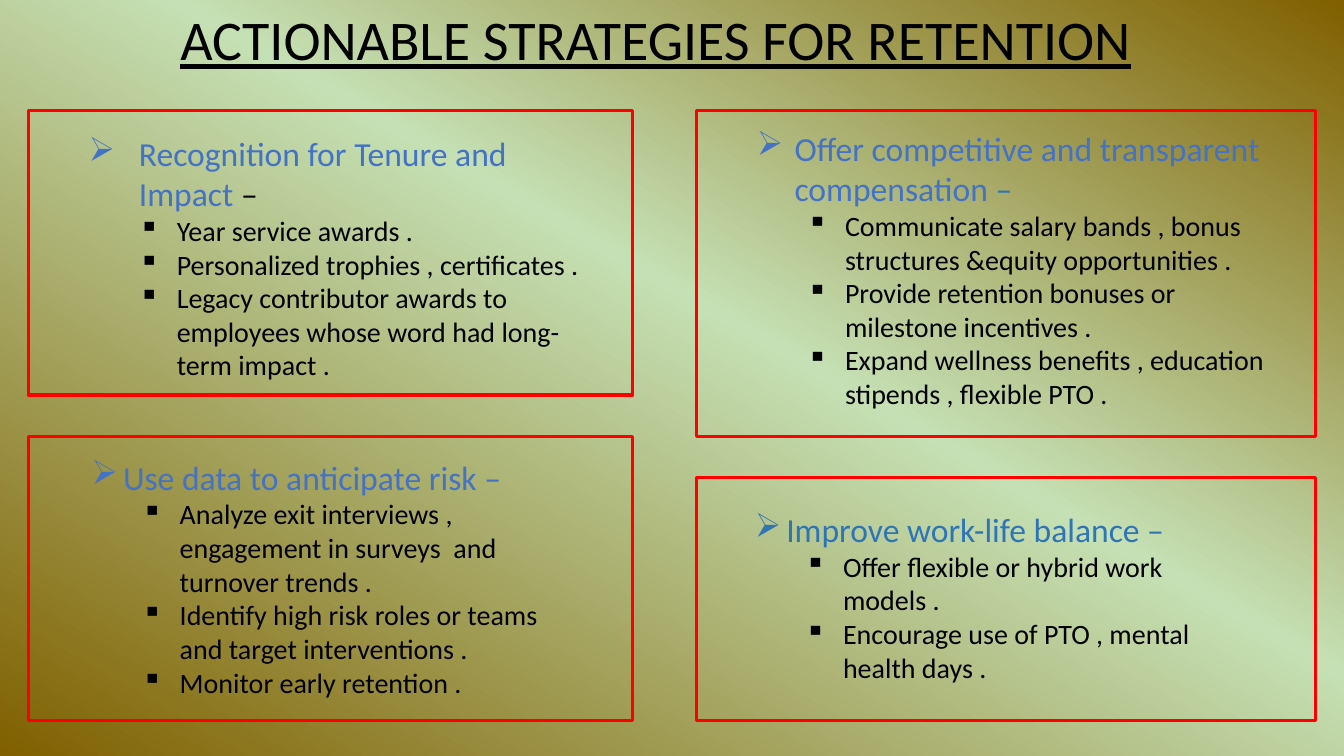
from copy import deepcopy

from lxml import etree
from pptx import Presentation
from pptx.dml.color import RGBColor
from pptx.enum.shapes import MSO_SHAPE
from pptx.enum.text import MSO_AUTO_SIZE
from pptx.oxml.ns import qn
from pptx.util import Pt

RECT = MSO_SHAPE.RECTANGLE
GROW = MSO_AUTO_SIZE.SHAPE_TO_FIT_TEXT
FONT = "Calibri"
COLORS = {
    "olive": "806000",
    "mint": "C5E0B4",
    "red": "FF0000",
    "black": "000000",
    "blue": "4472C4",
    "teal": "2E75B6",
}

# frame and text: left, top, width, height; lead: margin, hang, level
# head: (words, color) runs
CARDS = [
    {
        "frame": (20.16, 79.2, 432, 203),
        "text": (20.16, 91.4, 409.7, 208),
        "lead": (72, 36, 1),
        "head": [("Recognition for Tenure and Impact ", "blue"), ("–", "black")],
        "items": [
            "Year service awards .",
            "Personalized trophies , certificates .",
            "Legacy contributor awards to employees whose word had long-term impact .",
        ],
    },
    {
        "frame": (497.5, 79.2, 442, 232.6),
        "text": (497.5, 87.8, 415.4, 211),
        "lead": (63, 27, 1),
        "head": [("Offer competitive and transparent compensation ", "blue"), ("–", "teal")],
        "items": [
            "Communicate salary bands , bonus structures &equity opportunities .",
            "Provide retention bonuses or milestone incentives .",
            "Expand wellness benefits , education stipends , flexible PTO .",
        ],
    },
    {
        "frame": (20.16, 311.8, 432, 203),
        "text": (58.3, 322.6, 362.2, 181.4),
        "lead": (22.5, 22.5, 0),
        "head": [("Use data to anticipate risk –", "blue")],
        "items": [
            "Analyze exit interviews , engagement in surveys  and turnover trends .",
            "Identify high risk roles or teams and target interventions .",
            "Monitor early retention .",
        ],
    },
    {
        "frame": (497.5, 341.3, 442, 173.5),
        "text": (532.1, 360, 331.2, 154.8),
        "lead": (22.5, 22.5, 0),
        "head": [("Improve work-life balance –", "teal")],
        "items": [
            "Offer flexible or hybrid work models .",
            "Encourage use of PTO , mental health days .",
        ],
    },
]


def rgb(name):
    return RGBColor.from_string(COLORS[name])


def paint_back(slide):
    """Fill the background with an olive, mint, olive gradient."""
    fill = slide.background.fill
    fill.gradient()
    fill.gradient_angle = 240  # counted counter-clockwise
    first, last = fill.gradient_stops
    first.color.rgb = last.color.rgb = rgb("olive")
    first.position, last.position = 0, 1
    stops = next(slide.element.iter(qn("a:gsLst")))
    stops.insert(1, deepcopy(stops[0]))
    middle = fill.gradient_stops[1]
    middle.color.rgb = rgb("mint")
    middle.position = 0.44


def add_text(slide, box):
    shape = slide.shapes.add_textbox(*map(Pt, box))
    frame = shape.text_frame
    frame.word_wrap = True
    frame.auto_size = GROW
    return frame


def style(para, size, color):
    font = para.font
    font.name = FONT
    font.size = Pt(size)
    font.color.rgb = rgb(color)


def set_bullet(para, mark, margin, hang, level):
    para.level = level
    props = para._p.get_or_add_pPr()
    props.set("marL", str(Pt(margin)))
    props.set("indent", str(-Pt(hang)))
    bullet = etree.Element(qn("a:buChar"), char=mark)
    props.insert(0, bullet)


def add_title(slide, words):
    para = add_text(slide, (121.7, 0, 706.3, 55.4)).paragraphs[0]
    para.text = words
    style(para, 40, "black")
    para.font.underline = True


def add_frame(slide, box):
    shape = slide.shapes.add_shape(RECT, *map(Pt, box))
    shape.shadow.inherit = False
    shape.fill.background()
    shape.line.color.rgb = rgb("red")
    shape.line.width = Pt(2.25)


def add_list(slide, card):
    frame = add_text(slide, card["text"])
    level = card["lead"][2]
    head = frame.paragraphs[0]
    set_bullet(head, "➢", *card["lead"])
    style(head, 24, card["head"][0][1])
    for words, color in card["head"]:
        run = head.add_run()
        run.text = words
        run.font.color.rgb = rgb(color)
    for words in card["items"]:
        para = frame.add_paragraph()
        para.text = words
        set_bullet(para, "▪", 63 + 36 * level, 27, level + 1)
        style(para, 20, "black")


def main():
    deck = Presentation()
    deck.slide_width, deck.slide_height = Pt(960), Pt(540)
    slide = deck.slides.add_slide(deck.slide_layouts[6])
    paint_back(slide)
    add_title(slide, "ACTIONABLE STRATEGIES FOR RETENTION")
    for card in CARDS:
        add_frame(slide, card["frame"])
        add_list(slide, card)
    deck.save("out.pptx")


if __name__ == "__main__":
    main()
